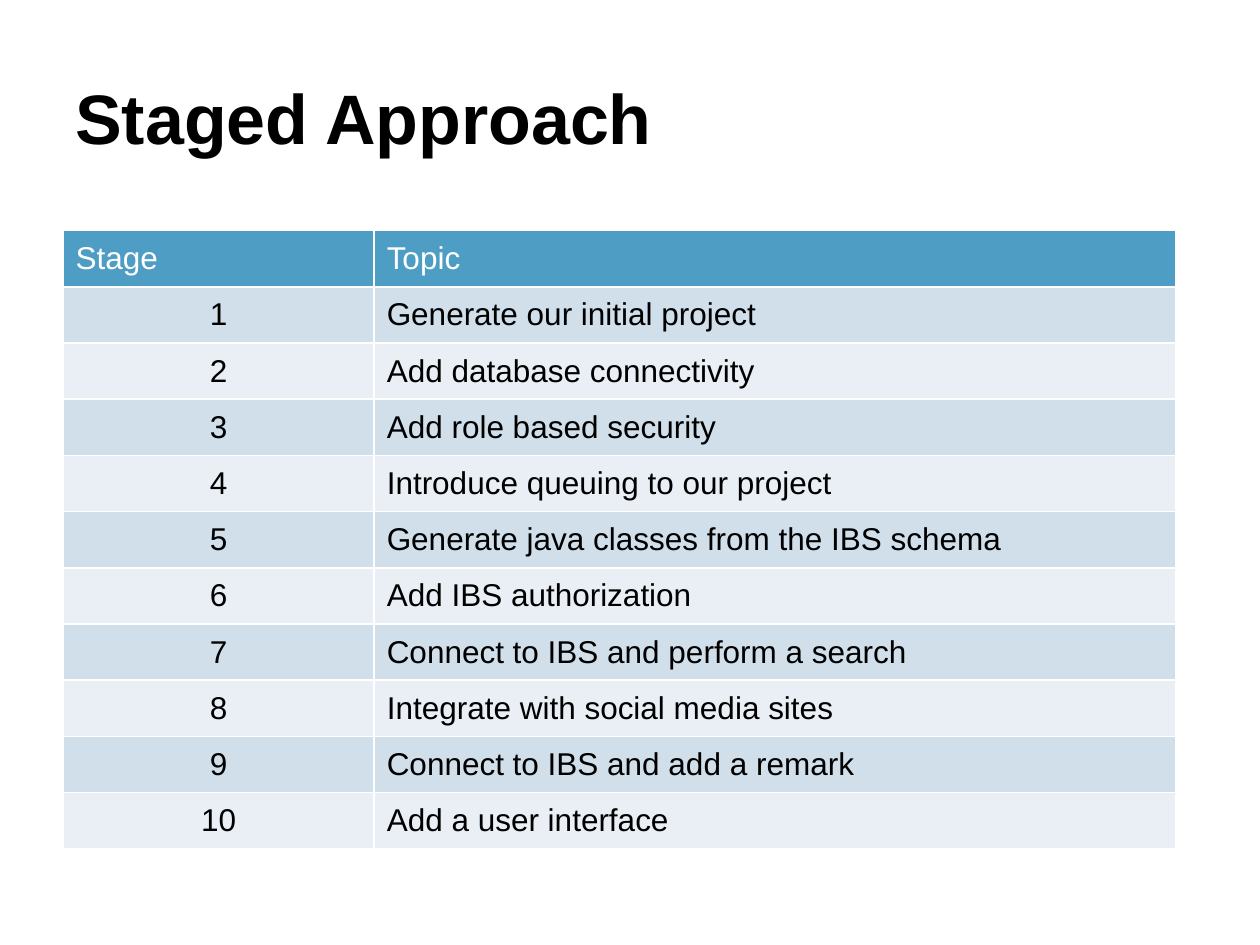
from typing import NamedTuple

import pptx
import pptx.dml.color
import pptx.enum.text
import pptx.slide
import pptx.text.text
import pptx.util

RGBColor = pptx.dml.color.RGBColor
Inches = pptx.util.Inches
Align = pptx.enum.text.PP_ALIGN
Anchor = pptx.enum.text.MSO_ANCHOR

BLACK = RGBColor(0x00, 0x00, 0x00)
WHITE = RGBColor(0xFF, 0xFF, 0xFF)
HEAD = RGBColor(0x4E, 0x9D, 0xC5)
BANDS = (RGBColor(0xD0, 0xDF, 0xEA), RGBColor(0xE9, 0xEF, 0xF5))

WIDTHS = (2.47, 6.36)
HEIGHT = 4.91


class Row(NamedTuple):
    stage: str
    topic: str
    fill: RGBColor
    color: RGBColor = BLACK
    align: Align = Align.CENTER


TOPICS = (
    "Generate our initial project",
    "Add database connectivity",
    "Add role based security",
    "Introduce queuing to our project",
    "Generate java classes from the IBS schema",
    "Add IBS authorization",
    "Connect to IBS and perform a search",
    "Integrate with social media sites",
    "Connect to IBS and add a remark",
    "Add a user interface",
)
ROWS = [Row("Stage", "Topic", HEAD, WHITE, Align.LEFT)] + [
    Row(str(i + 1), topic, BANDS[i % 2]) for i, topic in enumerate(TOPICS)
]


def write(frame: pptx.text.text.TextFrame, text: str, *, size: int = 18,
          color: RGBColor = BLACK, bold: bool = False,
          align: Align = Align.LEFT) -> None:
    para = frame.paragraphs[0]
    para.alignment = align
    run = para.add_run()
    run.text = text
    font = run.font
    font.name = "Arial"
    font.size = pptx.util.Pt(size)
    font.bold = bold
    font.color.rgb = color


def add_title(slide: pptx.slide.Slide, text: str) -> None:
    box = slide.shapes.add_textbox(Inches(0.5), Inches(0.3), Inches(9), Inches(1.25))
    frame = box.text_frame
    frame.word_wrap = True
    frame.vertical_anchor = Anchor.MIDDLE
    write(frame, text, size=40, bold=True)


def add_stages(slide: pptx.slide.Slide, rows: list[Row]) -> None:
    """Draw the table; its default style gives the white rules."""
    table = slide.shapes.add_table(
        len(rows), len(WIDTHS), Inches(0.5), Inches(1.83),
        Inches(sum(WIDTHS)), Inches(HEIGHT),
    ).table
    for col, width in zip(table.columns, WIDTHS):
        col.width = Inches(width)
    for line, row in zip(table.rows, rows):
        line.height = Inches(HEIGHT / len(rows))
        parts = ((row.stage, row.align), (row.topic, Align.LEFT))
        for cell, (text, align) in zip(line.cells, parts):
            cell.fill.solid()
            cell.fill.fore_color.rgb = row.fill
            cell.vertical_anchor = Anchor.MIDDLE
            write(cell.text_frame, text, color=row.color, align=align)


def main() -> None:
    deck = pptx.Presentation()
    deck.slide_width = Inches(10)
    deck.slide_height = Inches(7.5)
    slide = deck.slides.add_slide(deck.slide_layouts[6])
    add_title(slide, "Staged Approach")
    add_stages(slide, ROWS)
    deck.save("out.pptx")


if __name__ == "__main__":
    main()
